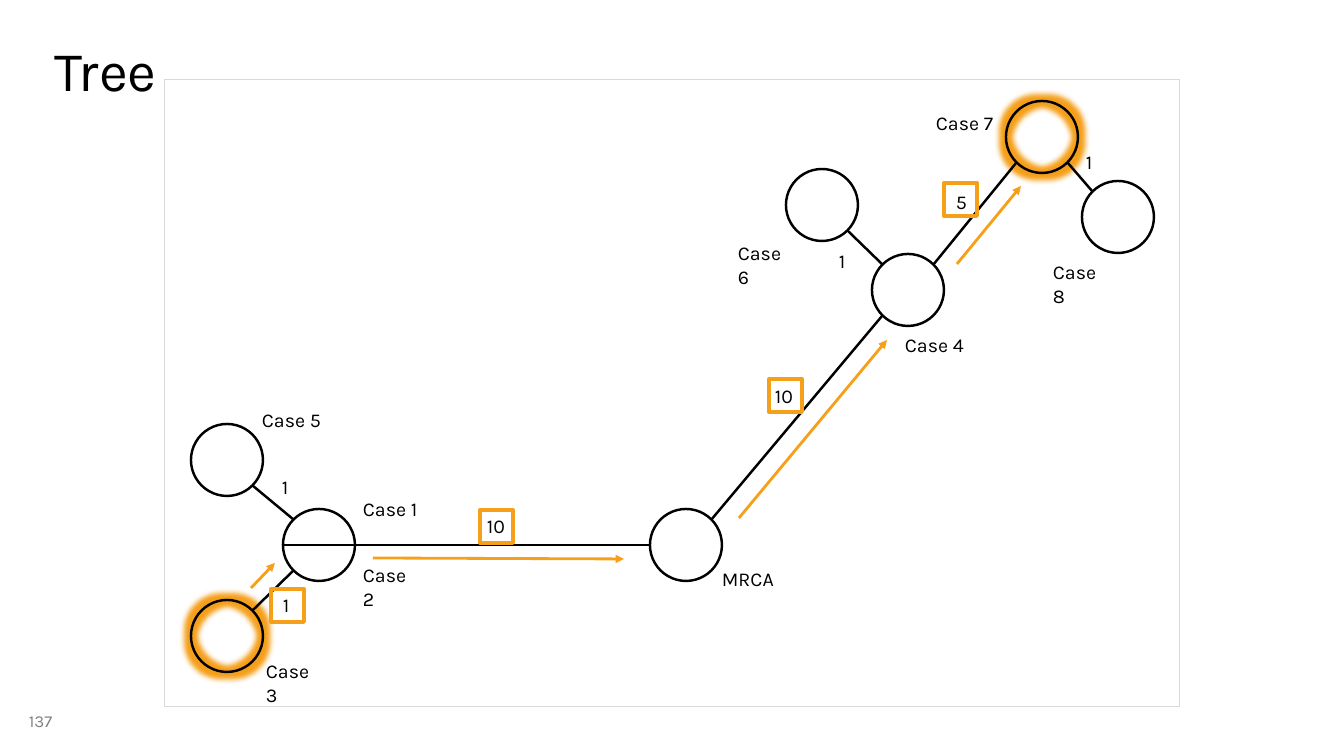
from math import sqrt

from lxml.etree import SubElement
from pptx import Presentation
from pptx.dml.color import RGBColor
from pptx.enum.shapes import MSO_CONNECTOR, MSO_SHAPE
from pptx.enum.text import MSO_ANCHOR
from pptx.oxml.ns import qn
from pptx.util import Pt

PX = 914400 / 100.8
BLACK = RGBColor(0, 0, 0)
WHITE = RGBColor(255, 255, 255)
GRAY = RGBColor(0x80, 0x80, 0x80)
FRAME_GRAY = RGBColor(0xD9, 0xD9, 0xD9)
ORANGE = RGBColor(0xF6, 0xA0, 0x1A)

DIAMETER = 72
SQUARE = 33
NODES = {
    "Case 1": (119, 430), "MRCA": (486, 430), "Case 4": (708, 175),
    "Case 3": (27, 521), "Case 5": (27, 345), "Case 6": (622, 90),
    "Case 7": (842, 22), "Case 8": (918, 102),
}
GLOWING = ("Case 3", "Case 7")
SITES = {"W": (-1, 0), "E": (1, 0), "NW": (-1, -1), "NE": (1, -1), "SW": (-1, 1), "SE": (1, 1)}
BRANCHES = [
    ("Case 1", "E", "MRCA", "W"), ("MRCA", "NE", "Case 4", "SW"),
    ("Case 1", "NW", "Case 5", "SE"), ("Case 1", "SW", "Case 3", "NE"),
    ("Case 1", "W", "Case 1", "E"), ("Case 4", "NW", "Case 6", "SE"),
    ("Case 8", "NW", "Case 7", "SE"), ("Case 7", "SW", "Case 4", "NE"),
]
LABELS = [
    ("MRCA", 548, 483, 72), ("Case 5", 88, 324, 79), ("Case 3", 92, 575, 79),
    ("Case 2", 189, 479, 79), ("Case 1", 189, 413, 79), ("Case 4", 731, 249, 79),
    ("Case 6", 564, 157, 79), ("Case 8", 879, 176, 79), ("Case 7", 762, 27, 79),
    ("1", 108, 391, 31), ("1", 109, 509, 31), ("10", 313, 430, 42),
    ("10", 601, 300, 42), ("1", 665, 165, 31), ("1", 912, 66, 31), ("5", 782, 106, 31),
]
PATH_STEPS = [(107, 510), (316, 431), (605, 300), (780, 104)]
PATH_ARROWS = [
    ((87, 509), (111, 484)), ((209, 479), (460, 480)),
    ((575, 439), (723, 261)), ((793, 185), (857, 107)),
]


def px(*lengths):
    return [round(length * PX) for length in lengths]


def apply_format(target, values):
    for name, value in values.items():
        setattr(target, name, value)


def add_text(slide, box, words, size, color=BLACK, anchor=MSO_ANCHOR.TOP, spacing=1.0):
    frame = slide.shapes.add_textbox(*px(*box)).text_frame
    apply_format(frame, {"word_wrap": True, "vertical_anchor": anchor})
    paragraph = frame.paragraphs[0]
    paragraph.line_spacing = spacing
    run = paragraph.add_run()
    run.text = words
    apply_format(run.font, {"name": "Karla", "size": Pt(size)})
    run.font.color.rgb = color


def add_outline(slide, preset, box, color, width, fill=None):
    outline = slide.shapes.add_shape(preset, *px(*box))
    outline.shadow.inherit = False
    if fill is None:
        outline.fill.background()
    else:
        outline.fill.solid()
        outline.fill.fore_color.rgb = fill
    outline.line.color.rgb = color
    outline.line.width = Pt(width)
    return outline


def add_glow(node):
    effects = node._element.spPr.find(qn("a:effectLst"))
    glow = SubElement(effects, qn("a:glow"), rad=str(Pt(8)))
    SubElement(glow, qn("a:srgbClr"), val=str(ORANGE))


def add_line(slide, start, end, color, width, arrow=False):
    connector = slide.shapes.add_connector(MSO_CONNECTOR.STRAIGHT, *px(*start, *end))
    connector.line.color.rgb = color
    connector.line.width = Pt(width)
    if arrow:
        SubElement(connector.line._get_or_add_ln(), qn("a:tailEnd"), type="triangle")
    SubElement(connector._element.spPr, qn("a:effectLst"))


def node_site(name, site):
    radius = DIAMETER / 2
    dx, dy = SITES[site]
    reach = radius / sqrt(dx * dx + dy * dy)
    x, y = NODES[name]
    return x + radius + dx * reach, y + radius + dy * reach


def draw_title(slide, box):
    add_text(slide, box, "Tree", 40, anchor=MSO_ANCHOR.MIDDLE, spacing=0.9)


def draw_page_number(slide, box):
    add_text(slide, box, "137", 12, GRAY, MSO_ANCHOR.MIDDLE)


def draw_tree(slide, box):
    left, top = box[:2]

    def place(point):
        return left + point[0], top + point[1]

    for name, corner in NODES.items():
        fill = WHITE if name == "MRCA" else None
        node_box = (*place(corner), DIAMETER, DIAMETER)
        node = add_outline(slide, MSO_SHAPE.OVAL, node_box, BLACK, 1.75, fill)
        if name in GLOWING:
            add_glow(node)
    for parent, parent_site, child, child_site in BRANCHES:
        start = place(node_site(parent, parent_site))
        end = place(node_site(child, child_site))
        add_line(slide, start, end, BLACK, 1.75)
    for words, x, y, width in LABELS:
        add_text(slide, (*place((x, y)), width, 34), words, 14)
    add_outline(slide, MSO_SHAPE.RECTANGLE, box, FRAME_GRAY, 0.5)
    for corner in PATH_STEPS:
        step_box = (*place(corner), SQUARE, SQUARE)
        add_outline(slide, MSO_SHAPE.RECTANGLE, step_box, ORANGE, 2.75)
    for start, end in PATH_ARROWS:
        add_line(slide, place(start), place(end), ORANGE, 2, arrow=True)


def main():
    presentation = Presentation()
    width, height = px(1344, 756)
    apply_format(presentation, {"slide_width": width, "slide_height": height})
    slide = presentation.slides.add_slide(presentation.slide_layouts[6])
    draw_page_number(slide, (19, 701, 302, 40))
    draw_title(slide, (45, 0, 1159, 146))
    draw_tree(slide, (164, 79, 1015, 627))
    presentation.save("out.pptx")


if __name__ == "__main__":
    main()
